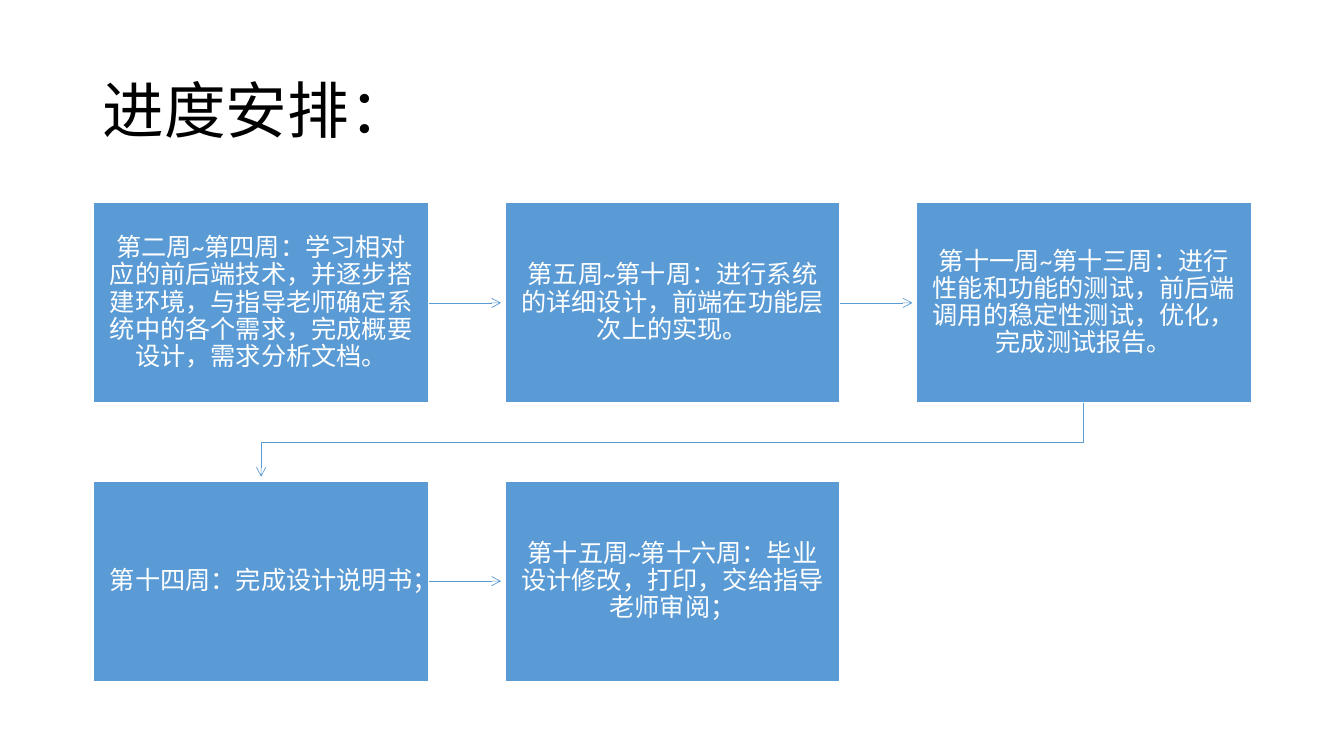
from dataclasses import dataclass

from lxml import etree
from pptx import Presentation
from pptx.dml.color import RGBColor
from pptx.enum import shapes, text
from pptx.oxml.ns import qn
from pptx.util import Inches, Pt


@dataclass(frozen=True)
class Theme:
    font: str = "Calibri"
    ink: RGBColor = RGBColor(0, 0, 0)
    paper: RGBColor = RGBColor(255, 255, 255)
    accent: RGBColor = RGBColor(0x5B, 0x9B, 0xD5)
    title_size: int = 44
    stage_size: int = 18
    border: float = 1
    arrow: float = 0.5
    spacing: float = 0.9


THEME = Theme()
STAGES = [
    "第二周~第四周：学习相对应的前后端技术，并逐步搭建环境，与指导老师确定系统中的各个需求，完成概要设计，需求分析文档。",
    "第五周~第十周：进行系统的详细设计，前端在功能层次上的实现。",
    "第十一周~第十三周：进行性能和功能的测试，前后端调用的稳定性测试，优化，完成测试报告。",
    "第十四周：完成设计说明书；",
    "第十五周~第十六周：毕业设计修改，打印，交给指导老师审阅；",
]
COLUMNS = 3
STAGE_WIDTH, STAGE_HEIGHT = 3.32, 1.99
ROW_GAP = 0.77
INSET = 0.14
ARROW_CLEARANCE = 0.04


def write(frame, words, size, color, align):
    frame.word_wrap = True
    frame.vertical_anchor = text.MSO_ANCHOR.MIDDLE
    paragraph = frame.paragraphs[0]
    paragraph.text = words
    paragraph.alignment = align
    paragraph.line_spacing = THEME.spacing
    paragraph.font.name = THEME.font
    paragraph.font.size = Pt(size)
    paragraph.font.color.rgb = color


def add_title(slide, left, top, width, height):
    title = slide.shapes.add_textbox(*map(Inches, (left, top, width, height)))
    write(title.text_frame, "进度安排：", THEME.title_size, THEME.ink, text.PP_ALIGN.LEFT)


def add_stage(slide, words, left, top):
    stage = slide.shapes.add_shape(
        shapes.MSO_SHAPE.RECTANGLE,
        *map(Inches, (left, top, STAGE_WIDTH, STAGE_HEIGHT)))
    stage.shadow.inherit = False
    stage.fill.solid()
    stage.fill.fore_color.rgb = THEME.accent
    stage.line.color.rgb = THEME.paper
    stage.line.width = Pt(THEME.border)
    frame = stage.text_frame
    frame.margin_left = frame.margin_right = Inches(INSET)
    frame.margin_top = frame.margin_bottom = Inches(INSET)
    write(frame, words, THEME.stage_size, THEME.paper, text.PP_ALIGN.CENTER)


def style_arrow(arrow):
    arrow.line.color.rgb = THEME.accent
    arrow.line.width = Pt(THEME.arrow)
    properties = arrow.element.spPr
    etree.SubElement(properties.find(qn("a:ln")), qn("a:tailEnd"), type="arrow")
    etree.SubElement(properties, qn("a:effectLst"))


def add_arrow_across(slide, start, end, y):
    arrow = slide.shapes.add_connector(
        shapes.MSO_CONNECTOR.STRAIGHT, *map(Inches, (start, y, end, y)))
    style_arrow(arrow)


def add_arrow_to_next_row(slide, start, end, top):
    turn = top + ROW_GAP / 2
    bottom = top + ROW_GAP - ARROW_CLEARANCE
    route = [(start, top), (start, turn), (end, turn), (end, bottom)]
    points = [(Inches(x), Inches(y)) for x, y in route]
    builder = slide.shapes.build_freeform(*points[0])
    builder.add_line_segments(points[1:], close=False)
    arrow = builder.convert_to_shape()
    arrow.fill.background()
    style_arrow(arrow)


def add_schedule(slide, left, top, width):
    column_step = (width - STAGE_WIDTH) / (COLUMNS - 1)
    row_step = STAGE_HEIGHT + ROW_GAP
    for index, words in enumerate(STAGES):
        row, column = divmod(index, COLUMNS)
        x, y = left + column * column_step, top + row * row_step
        add_stage(slide, words, x, y)
        if index == len(STAGES) - 1:
            continue
        if column < COLUMNS - 1:
            add_arrow_across(slide, x + STAGE_WIDTH,
                             x + column_step - ARROW_CLEARANCE, y + STAGE_HEIGHT / 2)
        else:
            add_arrow_to_next_row(slide, x + STAGE_WIDTH / 2,
                                  left + STAGE_WIDTH / 2, y + STAGE_HEIGHT)


deck = Presentation()
deck.slide_width, deck.slide_height = Inches(13.33), Inches(7.5)
schedule_slide = deck.slides.add_slide(deck.slide_layouts[6])
add_title(schedule_slide, 0.92, 0.4, 11.5, 1.45)
add_schedule(schedule_slide, 0.93, 2.01, 11.48)
deck.save("out.pptx")
